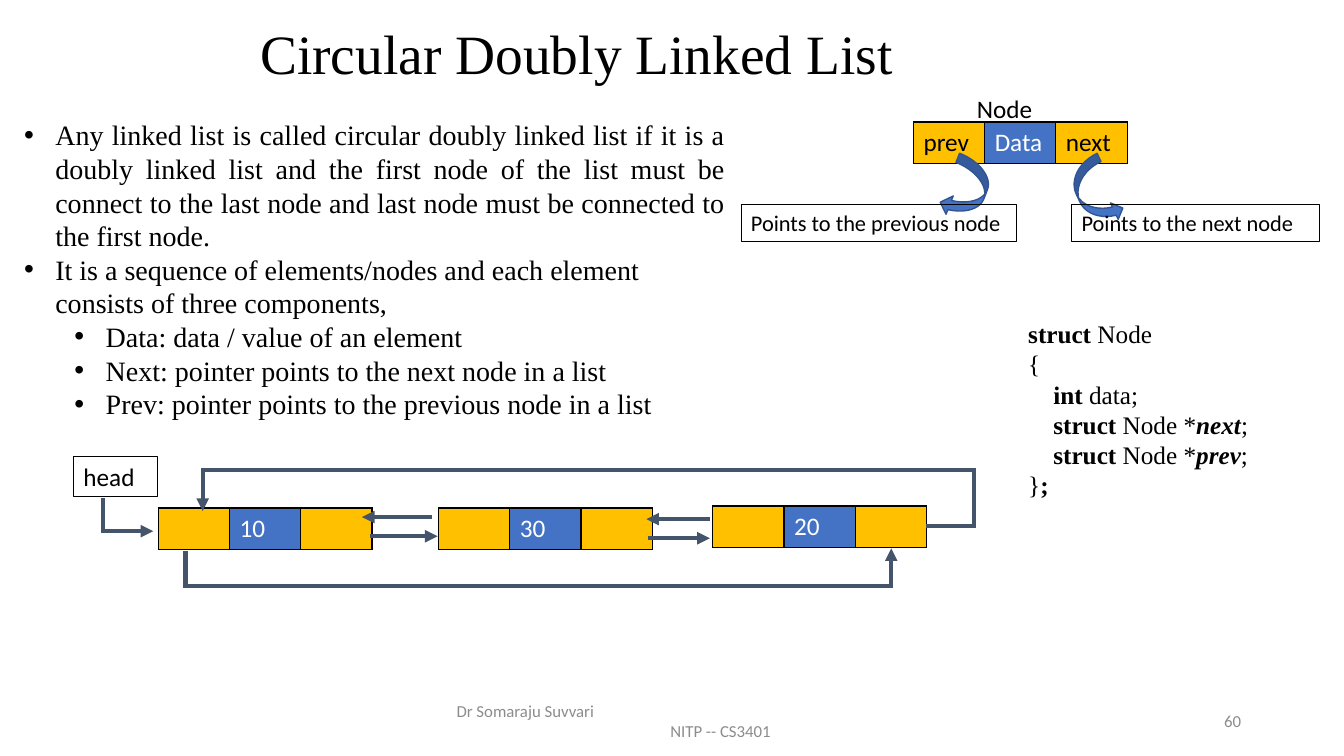
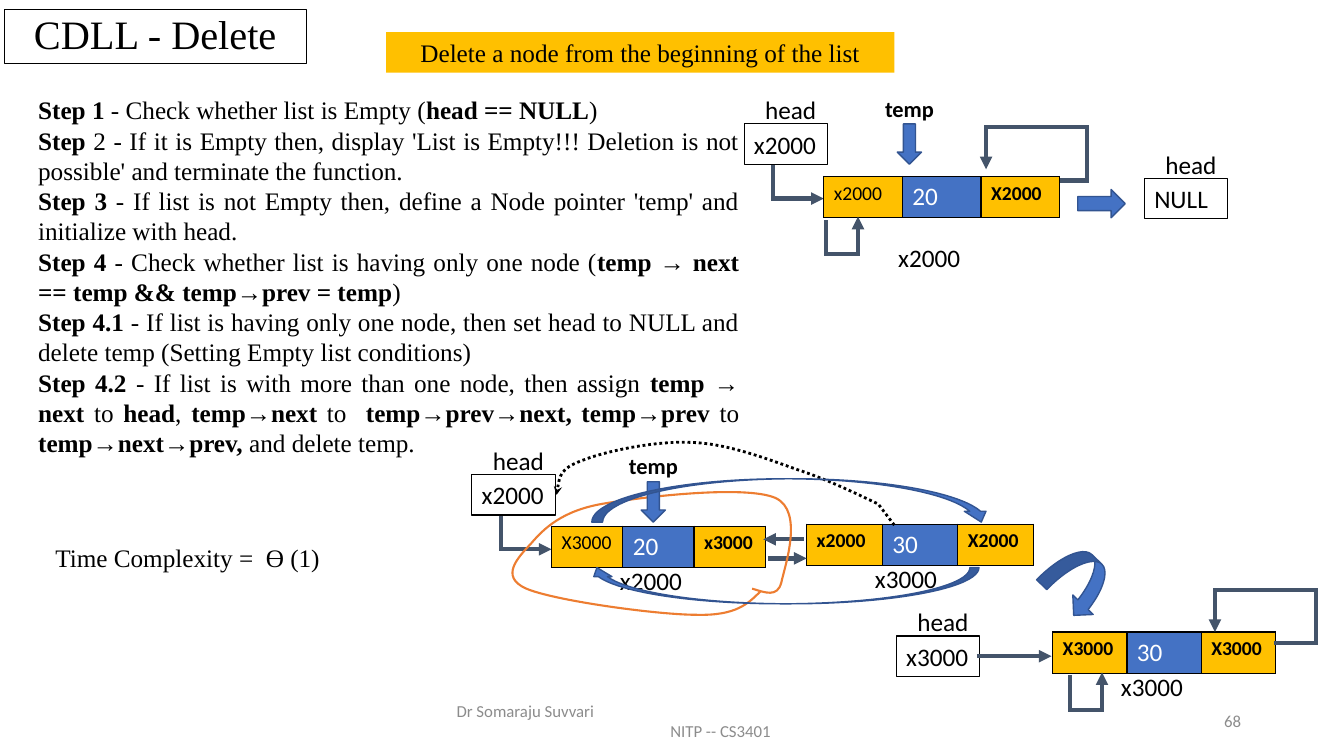
from itertools import pairwise

from lxml.etree import SubElement
from pptx import Presentation
from pptx.dml.color import RGBColor
from pptx.enum.shapes import MSO_CONNECTOR, MSO_SHAPE as SHAPE
from pptx.enum.text import MSO_ANCHOR as ANCHOR, MSO_AUTO_SIZE, PP_ALIGN as ALIGN
from pptx.oxml.ns import qn
from pptx.util import Inches, Pt

BLACK = RGBColor(0x00, 0x00, 0x00)
WHITE = RGBColor(0xFF, 0xFF, 0xFF)
GREY = RGBColor(0x8C, 0x8C, 0x8C)
GOLD = RGBColor(0xFF, 0xC0, 0x00)
BLUE = RGBColor(0x44, 0x72, 0xC4)
DARK_BLUE = RGBColor(0x32, 0x54, 0x91)
SLATE = RGBColor(0x44, 0x54, 0x6A)
ORANGE = RGBColor(0xED, 0x7D, 0x31)
SERIF, SANS = "Times New Roman", "Calibri"
TITLE_ONLY = 5
CELL_HEIGHT = 0.41


# Text: "|" switches bold on and off, a leading "/" makes a bold part italic
def write(frame, *lines, size=18, font=SANS, color=BLACK, bold=False,
          align=ALIGN.LEFT, anchor=ANCHOR.TOP, spacing=None, bullet_level=None):
    frame.word_wrap = True
    frame.auto_size = MSO_AUTO_SIZE.NONE
    frame.vertical_anchor = anchor
    for number, line in enumerate(lines):
        paragraph = frame.add_paragraph() if number else frame.paragraphs[0]
        if bullet_level is not None:
            add_bullet(paragraph, bullet_level[number])
        paragraph.alignment = align[number] if isinstance(align, list) else align
        if spacing:
            paragraph.line_spacing = spacing
        for part, words in enumerate(line.split("|")):
            if not words:
                continue
            run = paragraph.add_run()
            run.text = words.removeprefix("/")
            run.font.size, run.font.name = Pt(size), font
            run.font.color.rgb = color
            run.font.bold = bold or part % 2 == 1
            run.font.italic = words.startswith("/")


def add_bullet(paragraph, level):
    properties = paragraph._p.get_or_add_pPr()
    properties.set("marL", str(Inches(0.31 + 0.5 * level)))
    properties.set("indent", str(Inches(-0.31)))
    paragraph.level = level
    SubElement(properties, qn("a:buFont"), typeface="Arial")
    SubElement(properties, qn("a:buChar"), char="•")


def label(slide, x, y, w, h, *lines, **style):
    box = slide.shapes.add_textbox(Inches(x), Inches(y), Inches(w), Inches(h))
    write(box.text_frame, *lines, **style)
    return box.text_frame


# Shapes and lines
def shape(slide, kind, x, y, w, h, fill=None, line=None, weight=0.75, turn=0):
    drawn = slide.shapes.add_shape(kind, Inches(x), Inches(y), Inches(w), Inches(h))
    drawn.shadow.inherit = False
    drawn.rotation = turn
    paint(drawn, fill, line, weight)
    return drawn


def paint(drawn, fill, line, weight):
    for part, color in ((drawn.fill, fill), (drawn.line.fill, line)):
        if color is None:
            part.background()
        else:
            part.solid()
            part.fore_color.rgb = color
    if line is not None:
        drawn.line.width = Pt(weight)


def block_arrow(slide, kind, x, y, w, h, turn=0):
    shape(slide, kind, x, y, w, h, BLUE, DARK_BLUE, 1, turn)


def framed(slide, x, y, w, h, words, size=18):
    write(shape(slide, SHAPE.RECTANGLE, x, y, w, h, line=BLACK).text_frame,
          words, size=size)


def arrowhead(drawn, kind):
    SubElement(drawn.line._get_or_add_ln(), qn("a:tailEnd"), type=kind)


def route(slide, x, y, *points):
    """Straight lines through points measured from (x, y), ending in an arrow."""
    for start, end in pairwise(points):
        ends = [Inches(v) for v in (x + start[0], y + start[1], x + end[0], y + end[1])]
        leg = slide.shapes.add_connector(MSO_CONNECTOR.STRAIGHT, *ends)
        SubElement(leg._element.spPr, qn("a:effectLst"))
        leg.line.color.rgb, leg.line.width = SLATE, Pt(3)
        if end == points[-1]:
            arrowhead(leg, "triangle")
        else:
            leg.line._get_or_add_ln().set("cap", "sq")


def curve(slide, x, y, start, segments, color, weight):
    """Open outline: two numbers give a line, six give a Bezier segment."""
    points = [pair for segment in segments
              for pair in zip(segment[::2], segment[1::2])]
    builder = slide.shapes.build_freeform(Inches(x + start[0]), Inches(y + start[1]))
    builder.add_line_segments([(Inches(x + px), Inches(y + py)) for px, py in points],
                              close=False)
    outline = builder.convert_to_shape()
    legs = iter(list(outline._element.iter(qn("a:lnTo"))))
    for segment in segments:
        leg = next(legs)
        if len(segment) == 6:
            leg.addprevious(bezier := leg.makeelement(qn("a:cubicBezTo")))
            for control in (leg, next(legs), next(legs)):
                bezier.append(control[0])
                control.getparent().remove(control)
    outline.shadow.inherit = False
    paint(outline, None, color, weight)
    return outline


# Parts of a linked list
def list_node(slide, x, y, prev="", data="", following="", width=2.12, size=18,
              address=None, address_at=(0.58, 0.34)):
    table = slide.shapes.add_table(1, 3, Inches(x), Inches(y), Inches(width),
                                   Inches(CELL_HEIGHT)).table
    table.first_row = table.horz_banding = False
    looks = ((prev, GOLD, BLACK, size), (data, BLUE, WHITE, 18),
             (following, GOLD, BLACK, size))
    for column, (words, fill, color, points) in enumerate(looks):
        table.columns[column].width = Inches(width / 3)
        field = table.cell(0, column)
        write_cell(field, words, color, points)
        for side in ("a:lnL", "a:lnR", "a:lnT", "a:lnB"):
            edge = SubElement(field._tc.get_or_add_tcPr(), qn(side), w=str(Pt(1)))
            ink = SubElement(edge, qn("a:solidFill"))
            SubElement(ink, qn("a:srgbClr"), val=str(BLACK))
        field.fill.solid()
        field.fill.fore_color.rgb = fill
    if address:
        label(slide, x + address_at[0], y + address_at[1], 0.9, 0.4, address)


def write_cell(field, words, color, points):
    paragraph = field.text_frame.paragraphs[0]
    paragraph.font.size = Pt(points)
    if words:
        run = paragraph.add_run()
        run.text = words.strip("|")
        run.font.size, run.font.name = Pt(points), SANS
        run.font.bold = words.startswith("|")
        run.font.color.rgb = color


def head_pointer(slide, x, y, value, name="head", hook=True):
    framed(slide, x, y, 0.83, 0.4, value)
    if name:
        label(slide, x + 0.11, y - 0.34, 0.83, 0.4, name)
    if hook:
        route(slide, x, y, (0.29, 0.43), (0.29, 0.74), (0.79, 0.74))


def temp_pointer(slide, x, y):
    label(slide, x, y, 0.76, 0.37, "temp", size=16, bold=True)
    block_arrow(slide, SHAPE.DOWN_ARROW, x + 0.22, y + 0.34, 0.24, 0.4)


def two_way_link(slide, x, y, width, back_shift):
    route(slide, x, y, (0, 0.19), (width, 0.19))
    route(slide, x + back_shift, y, (width, 0), (-0.02, 0))


def self_loops(slide, x, y, right, reach, drop, prev_x):
    """Both links of a single node, leading back to the node at (x, y)."""
    top = drop - 0.53
    route(slide, x, y, (right, drop), (reach, drop), (reach, top), (1.61, top),
          (1.61, top + 0.42))
    route(slide, x, y, (prev_x, 0.45), (prev_x, 0.77), (prev_x + 0.32, 0.77),
          (prev_x + 0.32, 0.4))


# Slide frame
def new_slide(deck, heading, box, size, number, align=ALIGN.LEFT):
    slide = deck.slides.add_slide(deck.slide_layouts[TITLE_ONLY])
    title = slide.shapes.title
    title.left, title.top, title.width, title.height = [Inches(v) for v in box]
    write(title.text_frame, heading, size=size, font=SERIF, align=align,
          anchor=ANCHOR.MIDDLE, spacing=0.9)
    small = {"size": 12, "color": GREY, "anchor": ANCHOR.MIDDLE}
    footer = label(slide, 4.43, 6.95, 4.5, 0.4, "Dr Somaraju Suvvari",
                   "NITP -- CS3401", **small)
    footer.paragraphs[1]._p.get_or_add_pPr().set("marL", str(Inches(2.12)))
    label(slide, 9.41, 6.95, 3, 0.4, number, align=ALIGN.RIGHT, **small)
    return slide


# Regions of the overview slide
def node_anatomy(slide, x, y):
    list_node(slide, x + 1.71, y + 0.33, "prev", "Data", "next")
    block_arrow(slide, SHAPE.CURVED_UP_ARROW, x + 3.17, y + 0.85, 0.69, 0.36, 64.8)
    block_arrow(slide, SHAPE.CURVED_LEFT_ARROW, x + 2.04, y + 0.69, 0.39, 0.62, 21.6)
    framed(slide, x + 3.28, y + 1.15, 2.46, 0.37, "Points to the next node", 16)
    framed(slide, x, y + 1.15, 2.73, 0.37, "Points to the previous node", 16)
    label(slide, x + 2.24, y, 1.03, 0.4, "Node")


def circular_chain(slide, x, y):
    for dx, dy, data in ((0.87, 0.54, "10"), (3.65, 0.54, "30"), (6.37, 0.52, "20")):
        list_node(slide, x + dx, y + dy, data=data)
    head_pointer(slide, x + 0.03, y + 0.03, "head", name=None)
    two_way_link(slide, x + 2.97, y + 0.63, 0.67, -0.06)
    two_way_link(slide, x + 5.73, y + 0.65, 0.61, 0)
    route(slide, x, y, (8.51, 0.72), (8.96, 0.72), (8.96, 0.16), (1.31, 0.16),
          (1.31, 0.57))
    route(slide, x, y, (1.14, 0.99), (1.14, 1.31), (8.14, 1.31), (8.14, 0.94))


def overview_slide(deck):
    slide = new_slide(deck, "Circular Doubly Linked List", (2.48, 0.14, 6.93, 0.85),
                      39.6, "60")
    node_anatomy(slide, 7.35, 0.88)
    label(slide, 0.14, 1.12, 7.15, 3.43,
          "Any linked list is called circular doubly linked list if it is a doubly "
          "linked list and the first node of the list must be connect to the last node "
          "and last node must be connected to the first node.",
          "It is a sequence of elements/nodes and each element consists of three "
          "components,",
          "Data: data / value of an element",
          "Next: pointer points to the next node in a list",
          "Prev: pointer points to the previous node in a list",
          size=20, font=SERIF, align=[ALIGN.JUSTIFY] + [ALIGN.LEFT] * 4,
          bullet_level=(0, 0, 1, 1, 1))
    circular_chain(slide, 0.7, 4.5)
    label(slide, 10.1, 3.11, 2.66, 1.92, "|struct| Node", "{", "|    int| data;",
          "|    struct| Node *|/next|;", "|    struct| Node *|/prev|;", "}|;|",
          font=SERIF)


# Regions of the deletion slide
def delete_only_node(slide, x, y):
    head_pointer(slide, x + 0.08, y + 0.43, "x2000")
    list_node(slide, x + 0.87, y + 0.95, "x2000", "20", "|X2000|", 2.34, 14,
              "x2000", (0.64, 0.6))
    temp_pointer(slide, x + 1.38, y + 0.09)
    head_pointer(slide, x + 4.05, y + 0.97, "NULL", hook=False)
    block_arrow(slide, SHAPE.RIGHT_ARROW, x + 3.39, y + 1.08, 0.47, 0.28)
    self_loops(slide, x + 0.87, y + 0.95, 2.36, 2.61, 0.04, 0.02)


def delete_first_of_two(slide, x, y):
    # List before the deletion
    head_pointer(slide, x + 0.18, y + 0.71, "x2000")
    list_node(slide, x + 0.97, y + 1.22, "X3000", "20", "|x3000|", 2.12, 14, "x2000")
    list_node(slide, x + 3.5, y + 1.2, "|x2000|", "30", "|X2000|", 2.25, 14, "x3000")
    two_way_link(slide, x + 3.12, y + 1.35, 0.38, -0.03)
    # Loop around the removed node, and the new target of head
    curve(slide, x, y, (2.96, 1.84),
          [(3.09, 1.88, 3.21, 1.93, 3.25, 1.78), (3.28, 1.63, 3.48, 1.07, 3.19, 0.94),
           (2.89, 0.81, 1.87, 0.93, 1.47, 1), (1.07, 1.07, 0.89, 1.25, 0.77, 1.39),
           (0.64, 1.53, 0.45, 1.72, 0.72, 1.84), (1, 1.96, 2.02, 2.1, 2.41, 2.1),
           (2.8, 2.11, 2.92, 1.99, 3.04, 1.87)], ORANGE, 1.5)
    temp_pointer(slide, x + 1.64, y + 0.44)
    new_head = curve(slide, x, y, (4.37, 1.21),
                     [(4.21, 1), (4.08, 0.94, 3.72, 0.76, 3.41, 0.66),
                      (3.1, 0.55, 2.71, 0.4, 2.36, 0.39),
                      (2, 0.37, 1.49, 0.48, 1.27, 0.57),
                      (1.05, 0.65, 1.04, 0.78, 1.02, 0.91)], BLACK, 2)
    SubElement(new_head.line._get_or_add_ln(), qn("a:prstDash"), val="sysDot")
    arrowhead(new_head, "stealth")
    block_arrow(slide, SHAPE.CURVED_DOWN_ARROW, x + 1.37, y + 0.75, 3.97, 0.43)
    block_arrow(slide, SHAPE.CURVED_DOWN_ARROW, x + 1.33, y + 1.63, 3.88, 0.36, 180)
    # List after the deletion
    block_arrow(slide, SHAPE.CURVED_LEFT_ARROW, x + 5.93, y + 1.45, 0.56, 0.65, 313.8)
    head_pointer(slide, x + 4.39, y + 2.31, "x3000", hook=False)
    list_node(slide, x + 5.94, y + 2.27, "|X3000|", "30", "|X3000|", 2.21, 14, "x3000")
    route(slide, x, y, (5.19, 2.51), (5.93, 2.51))
    self_loops(slide, x + 5.94, y + 2.27, 2.22, 2.61, 0.11, 0.17)


def deletion_slide(deck):
    title_box = (0.04, 0.09, 3, 0.54)
    slide = new_slide(deck, "CDLL - Delete", title_box, 28.8, "68", ALIGN.CENTER)
    paint(slide.shapes.title, None, BLACK, 0.75)
    banner = shape(slide, SHAPE.RECTANGLE, 3.83, 0.32, 5.04, 0.4, fill=GOLD)
    write(banner.text_frame, "Delete a node from the beginning of the list",
          font=SERIF, align=ALIGN.CENTER)
    label(slide, 0.28, 0.89, 7.15, 3.74,
          "|Step 1 |- Check whether list is Empty (|head == NULL|)",
          "|Step| 2 - If it is Empty then, display 'List is Empty!!! Deletion is not "
          "possible' and terminate the function.",
          "|Step 3 |- If list is not Empty then, define a Node pointer 'temp' and "
          "initialize with head.",
          "|Step 4 |- Check whether list is having only one node (|temp → next == temp "
          "&& temp→prev = temp|)",
          "|Step 4.1 |- If list is having only one node, then set head to NULL and "
          "delete temp (Setting Empty list conditions)",
          "|Step 4.2 |- If list is with more than one node, then assign |temp → next |to"
          "| head|, |temp→next| to  |temp→prev→next, temp→prev| to |temp→next→prev, |"
          "and delete temp.", font=SERIF, align=ALIGN.JUSTIFY)
    delete_only_node(slide, 7.3, 0.8)
    delete_first_of_two(slide, 4.5, 4)
    label(slide, 0.45, 5.33, 2.99, 0.4, "Time Complexity =  Ɵ (1)", font=SERIF)


def main():
    deck = Presentation()
    deck.slide_width, deck.slide_height = Inches(13.33), Inches(7.5)
    overview_slide(deck)
    deletion_slide(deck)
    deck.save("out.pptx")


if __name__ == "__main__":
    main()
